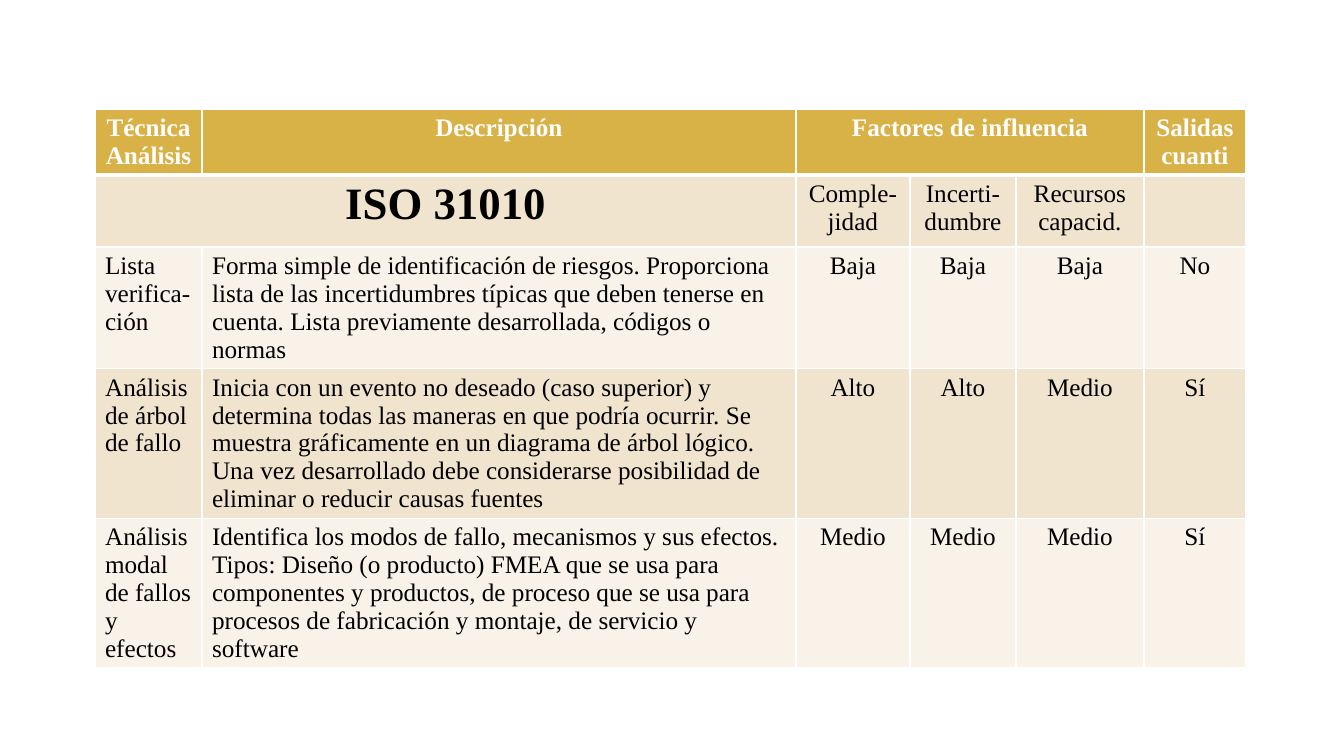
from dataclasses import dataclass

from lxml.etree import SubElement
from pptx import Presentation
from pptx.dml.color import RGBColor as RGB
from pptx.enum.text import PP_ALIGN as Align
from pptx.oxml.ns import qn
from pptx.util import Pt

SLIDE_WIDTH, SLIDE_HEIGHT = 1344, 756
EMU_PER_PX = 12192000 / SLIDE_WIDTH


@dataclass(frozen=True)
class Theme:
    font: str = "Times New Roman"
    body_size: int = 18
    standard_size: int = 32
    header: str = "D9B247"
    dark_band: str = "F1E4CF"
    light_band: str = "F8F2E9"
    white: str = "FFFFFF"
    black: str = "000000"
    thin_line: int = 1
    thick_line: int = 3


THEME = Theme()

TABLE_LEFT, TABLE_TOP = 95, 109
COLUMN_WIDTHS = [107, 594, 114, 106, 128, 102]
ROW_HEIGHTS = [64, 72, 121, 149, 149]

# None marks a cell covered by the merged cell to its left
ROWS = [
    ["Técnica Análisis", "Descripción", "Factores de influencia", None, None,
     "Salidas cuanti"],
    ["ISO 31010", None, "Comple-jidad", "Incerti-dumbre", "Recursos capacid.", ""],
    ["Lista verifica-ción",
     "Forma simple de identificación de riesgos. Proporciona lista de las "
     "incertidumbres típicas que deben tenerse en cuenta. Lista previamente "
     "desarrollada, códigos o normas",
     "Baja", "Baja", "Baja", "No"],
    ["Análisis de árbol de fallo",
     "Inicia con un evento no deseado (caso superior) y determina todas las "
     "maneras en que podría ocurrir. Se muestra gráficamente en un diagrama de "
     "árbol lógico. Una vez desarrollado debe considerarse posibilidad de "
     "eliminar o reducir causas fuentes",
     "Alto", "Alto", "Medio", "Sí"],
    ["Análisis modal de fallos y efectos",
     "Identifica los modos de fallo, mecanismos y sus efectos. Tipos: Diseño (o "
     "producto) FMEA que se usa para componentes y productos, de proceso que se "
     "usa para procesos de fabricación y montaje, de servicio y software",
     "Medio", "Medio", "Medio", "Sí"],
]


def px(length):
    return round(length * EMU_PER_PX)


def add_borders(cell, row):
    """Draw white lines, thicker between the header and the body."""
    widths = {"L": THEME.thin_line, "R": THEME.thin_line,
              "T": THEME.thick_line if row == 1 else THEME.thin_line,
              "B": THEME.thick_line if row == 0 else THEME.thin_line}
    properties = cell._tc.get_or_add_tcPr()
    for side, width in widths.items():
        line = SubElement(properties, qn(f"a:ln{side}"), w=str(Pt(width)))
        color = SubElement(line, qn("a:solidFill"))
        SubElement(color, qn("a:srgbClr"), val=THEME.white)


def fill_cell(cell, row):
    if row == 0:
        band = THEME.header
    else:
        band = THEME.dark_band if row % 2 else THEME.light_band
    cell.fill.solid()
    cell.fill.fore_color.rgb = RGB.from_string(band)


def write_cell(cell, text, row, column):
    is_header = row == 0
    is_standard = (row, column) == (1, 0)
    cell.text_frame.text = text
    paragraph = cell.text_frame.paragraphs[0]
    paragraph.alignment = Align.LEFT if row > 1 and column < 2 else Align.CENTER
    for run in paragraph.runs:
        run.font.name = THEME.font
        run.font.size = Pt(THEME.standard_size if is_standard else THEME.body_size)
        run.font.bold = is_header or is_standard
        run.font.color.rgb = RGB.from_string(THEME.white if is_header else THEME.black)


def add_risk_table(slide):
    table = slide.shapes.add_table(
        len(ROWS), len(COLUMN_WIDTHS), px(TABLE_LEFT), px(TABLE_TOP),
        px(sum(COLUMN_WIDTHS)), px(sum(ROW_HEIGHTS))).table
    for column, width in zip(table.columns, COLUMN_WIDTHS):
        column.width = px(width)
    for row, height in zip(table.rows, ROW_HEIGHTS):
        row.height = px(height)

    # Merged headings
    table.cell(0, 2).merge(table.cell(0, 4))
    table.cell(1, 0).merge(table.cell(1, 1))

    # Cell contents
    for r, texts in enumerate(ROWS):
        for c, text in enumerate(texts):
            cell = table.cell(r, c)
            add_borders(cell, r)
            fill_cell(cell, r)
            if text:
                write_cell(cell, text, r, c)


def main():
    deck = Presentation()
    deck.slide_width, deck.slide_height = px(SLIDE_WIDTH), px(SLIDE_HEIGHT)
    blank_layout = deck.slide_layouts[6]
    add_risk_table(deck.slides.add_slide(blank_layout))
    deck.save("out.pptx")


if __name__ == "__main__":
    main()
